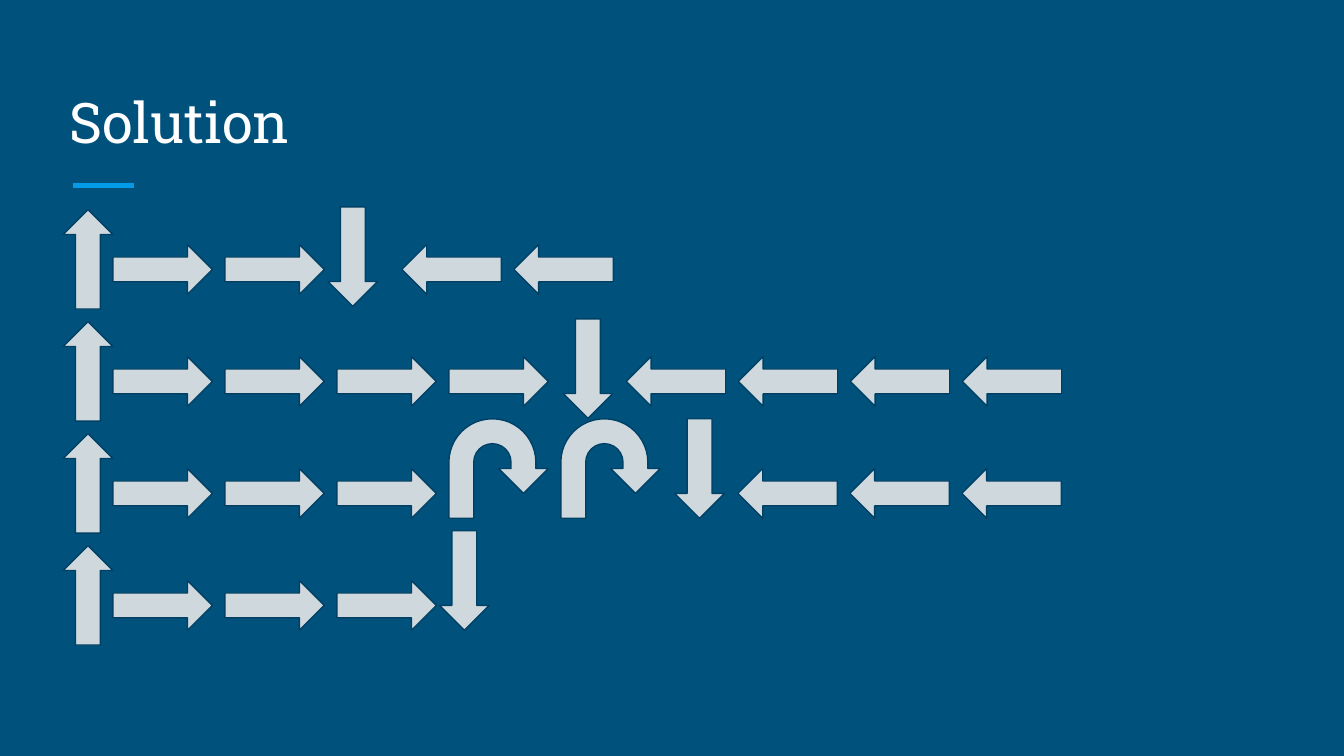
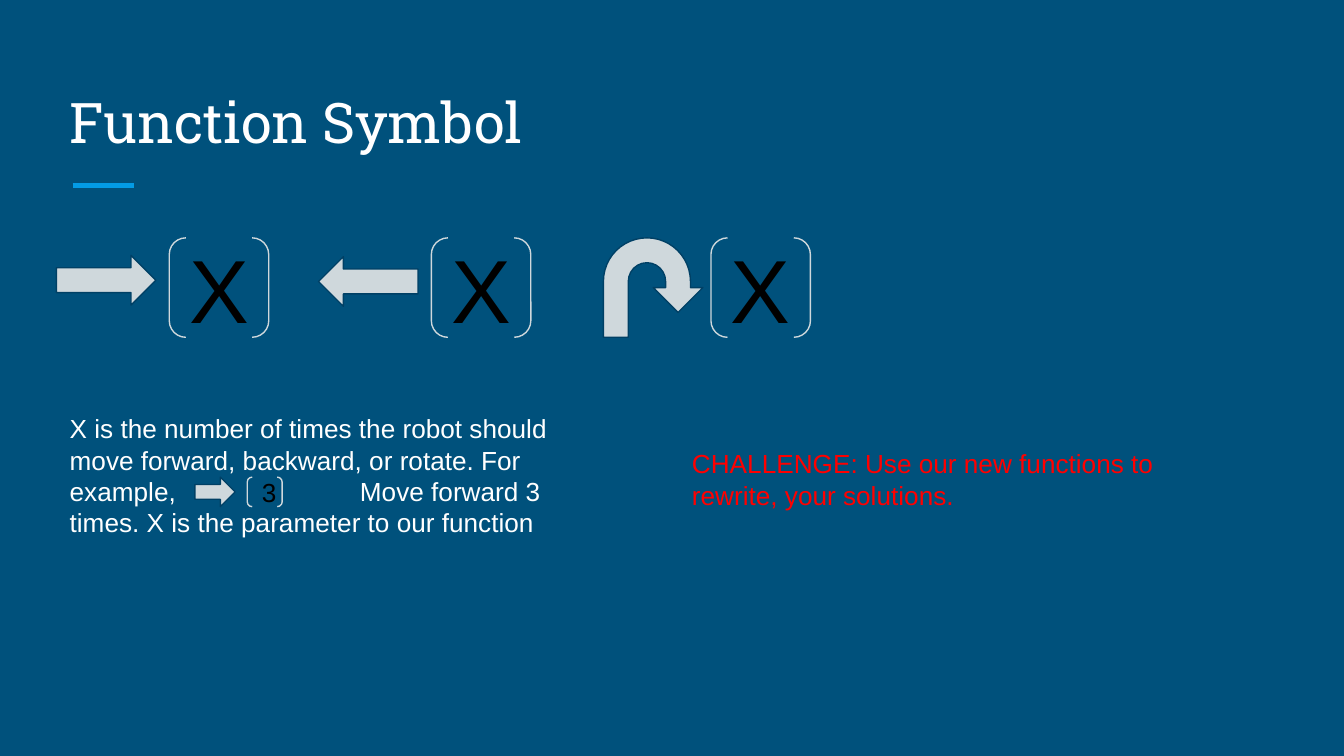
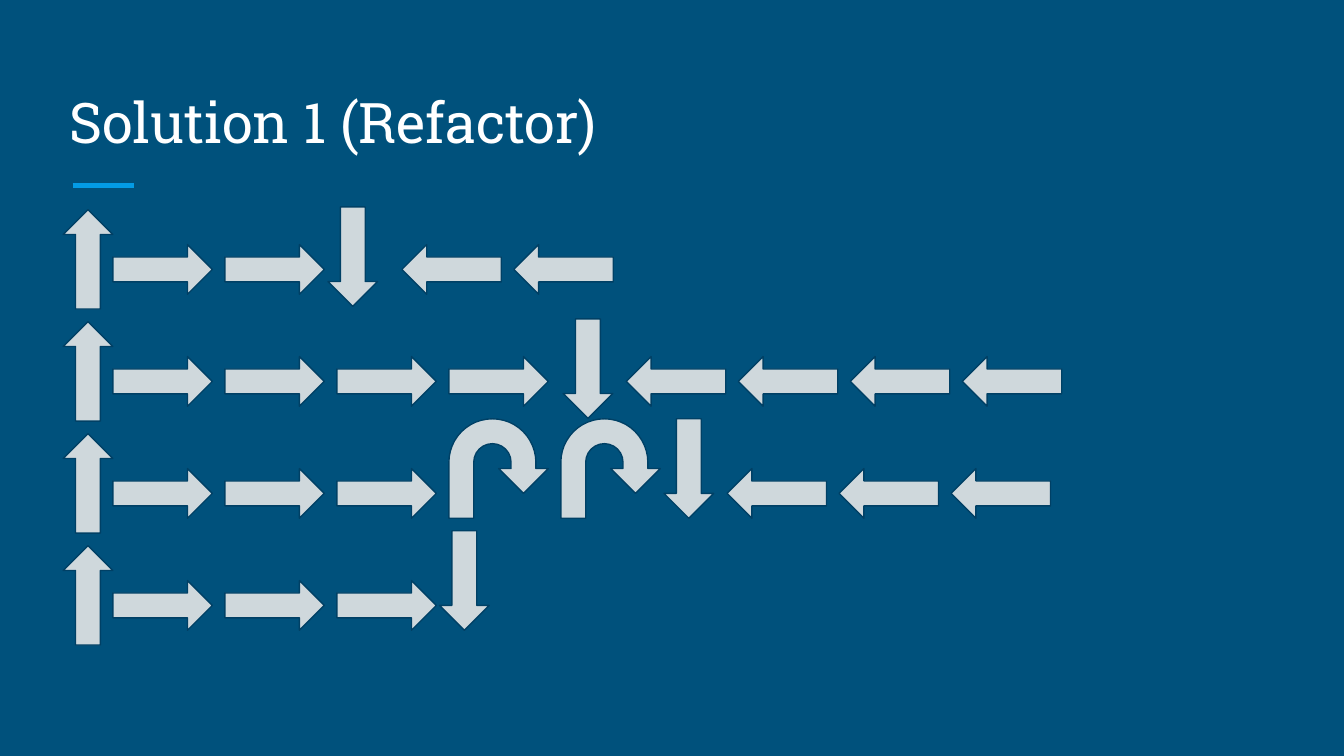
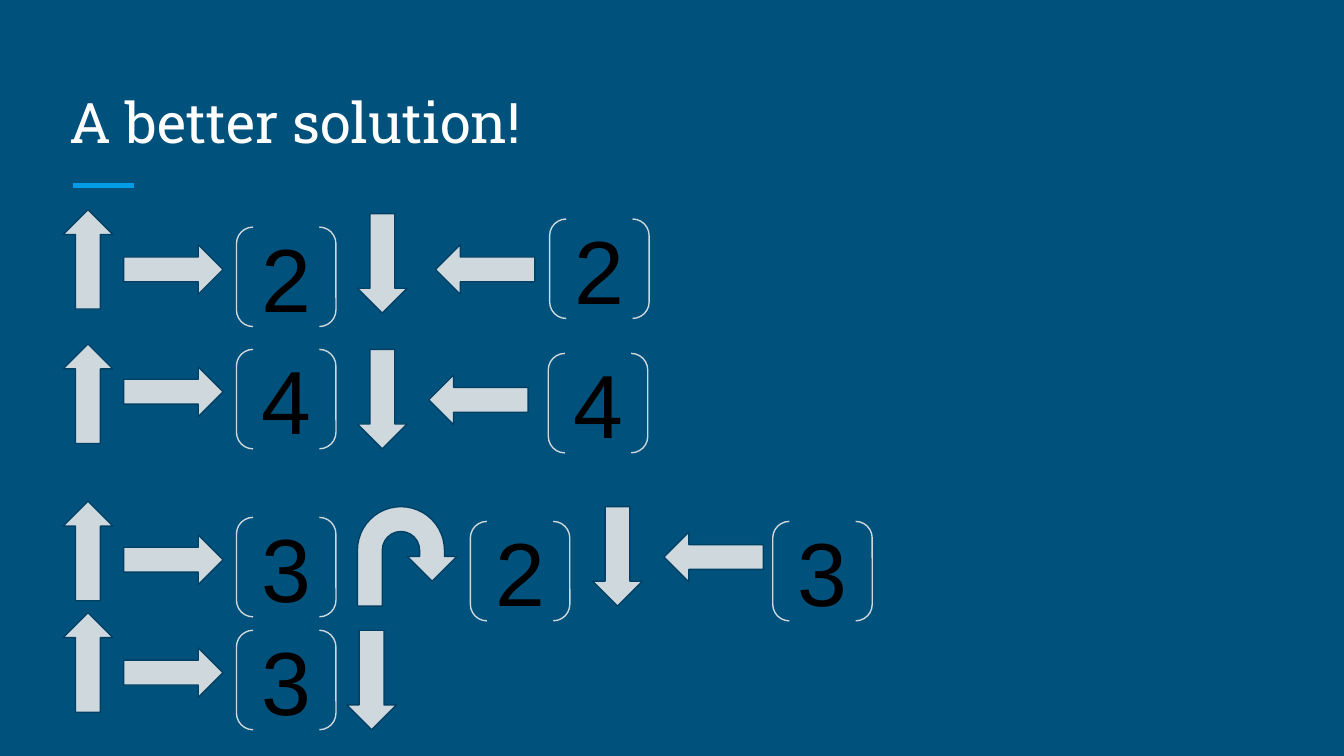
from lxml.etree import SubElement
from pptx import Presentation
from pptx.dml.color import RGBColor
from pptx.enum.shapes import MSO_CONNECTOR, MSO_SHAPE
from pptx.enum.text import MSO_ANCHOR, MSO_AUTO_SIZE, PP_ALIGN
from pptx.oxml.ns import qn
from pptx.util import Inches, Pt

NAVY = RGBColor(0x00, 0x51, 0x7C)
EDGE = RGBColor(0x00, 0x40, 0x65)
SKY = RGBColor(0x03, 0x9B, 0xE5)
MIST = RGBColor(0xCF, 0xD8, 0xDC)
WHITE = RGBColor(0xFF, 0xFF, 0xFF)
BLACK = RGBColor(0x00, 0x00, 0x00)
RED = RGBColor(0xFF, 0x00, 0x00)

LONG, SHORT = 0.74, 0.37        # length and breadth of an arrow
PITCH = 5 / 6                   # from one arrow or row to the next
UP_X, ROW_TOP = 0.47, 1.56      # first arrow of each row
FORWARD_X = 0.84
MOVE_DROP = 0.26                # horizontal arrows sit below the row top

SIGNS = {
    "up": (MSO_SHAPE.UP_ARROW, SHORT, LONG),
    "down": (MSO_SHAPE.DOWN_ARROW, SHORT, LONG),
    "forward": (MSO_SHAPE.RIGHT_ARROW, LONG, SHORT),
    "back": (MSO_SHAPE.LEFT_ARROW, LONG, SHORT),
    "turn": (MSO_SHAPE.U_TURN_ARROW, LONG, LONG),
}


def solution(third_down_x):
    """Rows of forward count, turns, x and rise of the down arrow, back count, x of the first back arrow."""
    return [
        (2, 0, 2.44, 0.02, 2, 2.99),
        (4, 0, 4.19, 0.02, 4, 4.66),
        (3, 2, third_down_x, 0.11, 3, third_down_x + 0.47),
        (3, 0, 3.27, 0.11, 0, 0),
    ]


SOLUTIONS = {"Solution": solution(5.02), "Solution 1 (Refactor)": solution(4.94)}

# (sign, x, y) or, for a parameter in brackets, (text, x, y)
FUNCTIONS = [
    ("forward", 0.42, 1.9), ("X", 1.26, 1.77),
    ("back", 2.37, 1.91), ("X", 3.21, 1.77),
    ("turn", 4.49, 1.77), ("X", 5.29, 1.77),
]
# Top of the up arrow, top of the forward arrow, forward parameter, then the rest of the row
BETTER_ROWS = [
    (1.56, 1.82, "2", [("down", 2.66, 1.59), ("back", 3.24, 1.82), ("2", 4.09, 1.63)]),
    (2.56, 2.73, "4", [("down", 2.66, 2.6), ("back", 3.19, 2.79), ("4", 4.08, 2.63)]),
    (3.73, 3.98, "3", [("turn", 2.66, 3.77), ("2", 3.5, 3.88), ("down", 4.41, 3.77),
                       ("back", 4.94, 3.96), ("3", 5.75, 3.88)]),
    (4.56, 4.82, "3", [("down", 2.58, 4.69)]),
]
EXPLANATION = ("X is the number of times the robot should move forward, backward, or rotate. "
               "For example, \tMove forward 3 times. X is the parameter to our function")
CHALLENGE = "CHALLENGE: Use our new functions to rewrite, your solutions."


def write(sp, text, size=14, color=WHITE, font="Arial", align=PP_ALIGN.LEFT,
          anchor=MSO_ANCHOR.TOP, tab=None):
    tf = sp.text_frame
    tf.word_wrap = True
    tf.auto_size = MSO_AUTO_SIZE.NONE
    tf.vertical_anchor = anchor
    tf.margin_left = tf.margin_right = tf.margin_top = tf.margin_bottom = Inches(0.1)
    p = tf.paragraphs[0]
    p.alignment = align
    if tab:
        tabs = SubElement(p._p.get_or_add_pPr(), qn("a:tabLst"))
        SubElement(tabs, qn("a:tab"), pos=str(Inches(tab)), algn="l")
    r = p.add_run()
    r.text = text
    r.font.size, r.font.name, r.font.color.rgb = Pt(size), font, color


def add_shape(s, kind, x, y, w, h, line):
    sp = s.shapes.add_shape(kind, Inches(x), Inches(y), Inches(w), Inches(h))
    sp.shadow.inherit = False
    sp.line.color.rgb, sp.line.width = line, Pt(0.75)
    return sp


def add_sign(s, name, x, y, size=None):
    kind, w, h = SIGNS[name]
    w, h = size or (w, h)
    sp = add_shape(s, kind, x, y, w, h, EDGE)
    sp.fill.solid()
    sp.fill.fore_color.rgb = MIST


def add_parameter(s, text, x, y, size=(LONG, LONG), points=48):
    sp = add_shape(s, MSO_SHAPE.DOUBLE_BRACKET, x, y, *size, MIST)
    sp.fill.background()
    write(sp, text, points, BLACK, align=PP_ALIGN.CENTER, anchor=MSO_ANCHOR.MIDDLE)


def add_items(s, items):
    for name, x, y in items:
        add = add_sign if name in SIGNS else add_parameter
        add(s, name, x, y)


def add_note(s, text, x, y, h, **style):
    write(s.shapes.add_textbox(Inches(x), Inches(y), Inches(4.15), Inches(h)), text, **style)


def add_slide(prs, title):
    s = prs.slides.add_slide(prs.slide_layouts[5])
    rule = s.shapes.add_connector(MSO_CONNECTOR.STRAIGHT, Inches(0.54), Inches(1.38),
                                  Inches(1), Inches(1.38))
    rule.line.color.rgb, rule.line.width = SKY, Pt(3)
    SubElement(rule._element.spPr, qn("a:effectLst"))
    sp = s.shapes.title
    sp.left, sp.top, sp.width, sp.height = (Inches(v) for v in (0.42, 0.5, 9.15, 0.75))
    write(sp, title, 30, font="Roboto Slab", anchor=MSO_ANCHOR.BOTTOM)
    return s


def add_solution(prs, title, rows):
    s = add_slide(prs, title)
    for i, (forward, turns, down_x, rise, back, back_x) in enumerate(rows):
        top = ROW_TOP + i * PITCH
        move_y = top + MOVE_DROP
        turn_x = FORWARD_X + forward * PITCH
        add_items(s, [
            ("up", UP_X, top),
            *[("forward", FORWARD_X + n * PITCH, move_y) for n in range(forward)],
            *[("turn", turn_x + n * PITCH, top - rise) for n in range(turns)],
            ("down", down_x, top - rise),
            *[("back", back_x + n * PITCH, move_y) for n in range(back)],
        ])


def add_functions(prs):
    s = add_slide(prs, "Function Symbol")
    add_items(s, FUNCTIONS)
    add_note(s, EXPLANATION, 0.42, 2.97, 1.15, tab=2.16)
    add_sign(s, "forward", 1.45, 3.55, size=(0.3, 0.22))
    add_parameter(s, "3", 1.84, 3.55, size=(0.26, 0.22), points=14)
    add_note(s, CHALLENGE, 5.05, 3.23, 0.79, color=RED)


def add_better(prs):
    s = add_slide(prs, "A better solution!")
    for top, move_y, count, rest in BETTER_ROWS:
        add_items(s, [("up", UP_X, top), ("forward", 0.92, move_y),
                      (count, 1.76, move_y - 0.13), *rest])


def main():
    prs = Presentation()
    prs.slide_width = Inches(10)
    prs.slide_height = prs.slide_width * 9 // 16
    fill = prs.slide_master.background.fill
    fill.solid()
    fill.fore_color.rgb = NAVY
    first, refactor = SOLUTIONS.items()
    add_solution(prs, *first)
    add_functions(prs)
    add_solution(prs, *refactor)
    add_better(prs)
    prs.save("out.pptx")


if __name__ == "__main__":
    main()
